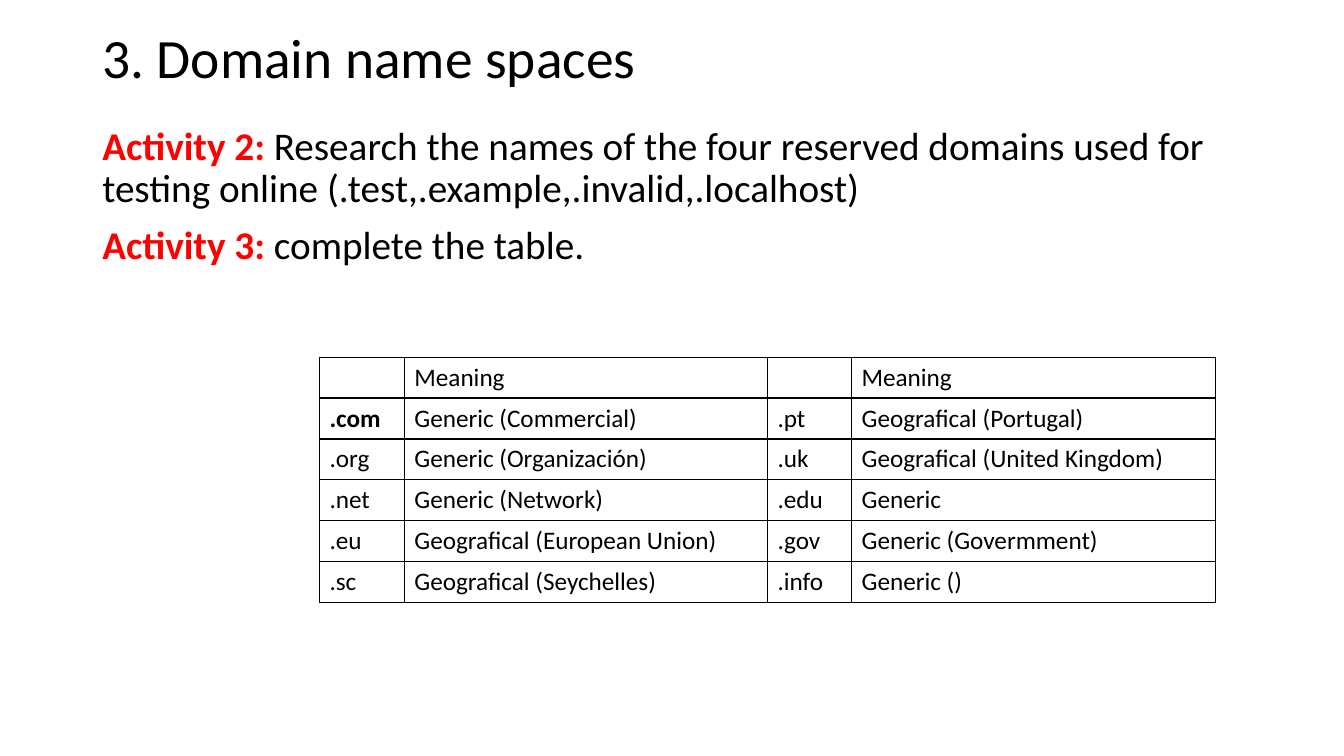
from lxml import etree
from pptx import Presentation
from pptx.dml.color import RGBColor
from pptx.enum import text
from pptx.oxml import ns
from pptx.util import Cm, Pt

BLACK = RGBColor(0x00, 0x00, 0x00)
RED = RGBColor(0xFF, 0x00, 0x00)
FONT = "Calibri"

ACTIVITIES = [
    ("Activity 2: ", "Research the names of the four reserved domains used for "
                     "testing online (.test,.example,.invalid,.localhost)"),
    ("Activity 3: ", "complete the table."),
]
DOMAINS = [
    ("", "Meaning", "", "Meaning"),
    (".com", "Generic (Commercial)", ".pt", "Geografical (Portugal)"),
    (".org", "Generic (Organización)", ".uk", "Geografical (United Kingdom)"),
    (".net", "Generic (Network)", ".edu", "Generic"),
    (".eu", "Geografical (European Union)", ".gov", "Generic (Govermment)"),
    (".sc", "Geografical (Seychelles)", ".info", "Generic ()"),
]
COLUMN_WIDTHS = [Cm(2.14), Cm(9.15), Cm(2.12), Cm(9.17)]
ROW_HEIGHT = Cm(1.03)


def add_run(p, content, size=18, color=BLACK, bold=False):
    r = p.add_run()
    r.text = content
    r.font.name = FONT
    r.font.size = Pt(size)
    r.font.bold = bold
    r.font.color.rgb = color


def add_box(s, top, height, anchor):
    sp = s.shapes.add_textbox(Cm(2.33), top, Cm(29.21), height)
    tf = sp.text_frame
    tf.word_wrap = True
    tf.vertical_anchor = anchor
    return tf


def add_title(s, content):
    tf = add_box(s, Cm(0.7), Cm(1.66), text.MSO_ANCHOR.MIDDLE)
    p = tf.paragraphs[0]
    p.line_spacing = 0.9
    add_run(p, content, size=39.6)


def add_activities(s, activities):
    tf = add_box(s, Cm(3.07), Cm(13.61), text.MSO_ANCHOR.TOP)
    for i, (label, task) in enumerate(activities):
        p = tf.add_paragraph() if i else tf.paragraphs[0]
        p.line_spacing = 0.9
        p.space_before = Pt(10)
        add_run(p, label, size=28, color=RED, bold=True)
        add_run(p, task, size=28)


def set_borders(cell, color=BLACK, width=Pt(1)):
    tc_pr = cell._tc.get_or_add_tcPr()
    for i, side in enumerate(("lnL", "lnR", "lnT", "lnB")):
        ln = etree.Element(ns.qn(f"a:{side}"), w=str(width))
        fill = etree.SubElement(ln, ns.qn("a:solidFill"))
        etree.SubElement(fill, ns.qn("a:srgbClr"), val=str(color))
        tc_pr.insert(i, ln)  # borders precede the fill


def add_domain_table(s, rows):
    gf = s.shapes.add_table(len(rows), len(COLUMN_WIDTHS), Cm(8.05), Cm(9),
                            sum(COLUMN_WIDTHS), ROW_HEIGHT * len(rows))
    table = gf.table
    table.first_row = table.horz_banding = False
    for column, width in zip(table.columns, COLUMN_WIDTHS):
        column.width = width
    for i, row in enumerate(rows):
        table.rows[i].height = ROW_HEIGHT
        for j, content in enumerate(row):
            cell = table.cell(i, j)
            cell.fill.background()
            set_borders(cell)
            if content:
                add_run(cell.text_frame.paragraphs[0], content,
                        bold=content == ".com")


def main():
    prs = Presentation()
    prs.slide_width, prs.slide_height = Cm(33.87), Cm(19.05)
    s = prs.slides.add_slide(prs.slide_layouts[6])

    # Heading and tasks
    add_title(s, "3. Domain name spaces")
    add_activities(s, ACTIVITIES)

    # Domain meanings
    add_domain_table(s, DOMAINS)

    prs.save("out.pptx")


if __name__ == "__main__":
    main()
